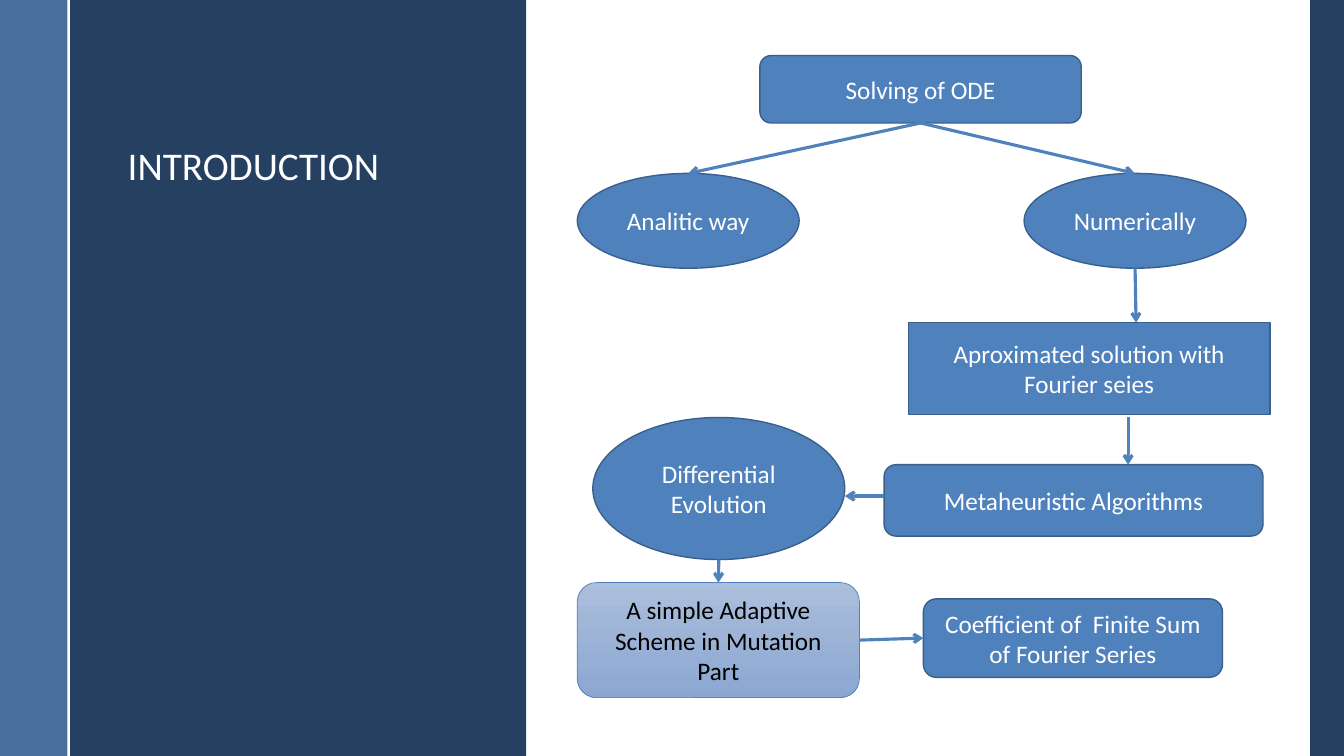
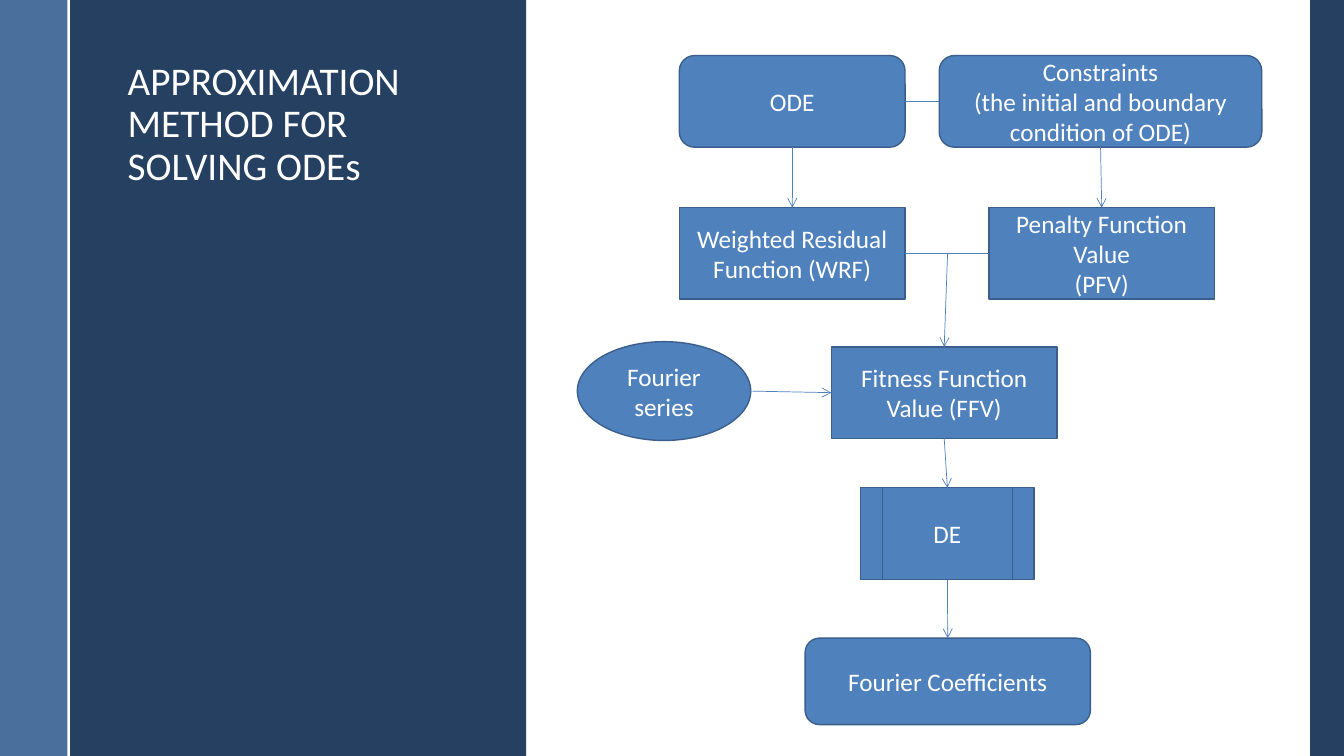
import lxml.etree
import pptx
import pptx.dml.color
import pptx.enum.shapes
import pptx.enum.text
import pptx.oxml.ns
import pptx.util

Cm = pptx.util.Cm
Pt = pptx.util.Pt
qn = pptx.oxml.ns.qn
SHAPES = pptx.enum.shapes.MSO_SHAPE
ANCHORS = pptx.enum.text.MSO_ANCHOR
ALIGNS = pptx.enum.text.PP_ALIGN

COLORS = {
    "navy": "254061",
    "stripe": "376092",
    "node": "4F81BD",
    "outline": "3A5F8C",
    "fade_top": "ABBEDB",
    "fade_bottom": "8CA7D2",
    "white": "FFFFFF",
    "black": "000000",
}
FONT = "Calibri"
WIDTH, HEIGHT = 33.87, 19.05


def rgb(name):
    return pptx.dml.color.RGBColor.from_string(COLORS[name])


def point(box, across, down):
    return (box.left + box.width * across) / Cm(1), (box.top + box.height * down) / Cm(1)


class FlowDeck:
    def __init__(self):
        self.deck = pptx.Presentation()
        self.deck.slide_width = Cm(WIDTH)
        self.deck.slide_height = Cm(HEIGHT)
        self.page = None
        self.arrow_width = 1

    def new_page(self, title, arrow_width):
        self.page = self.deck.slides.add_slide(self.deck.slide_layouts[6])
        self.arrow_width = arrow_width
        self.band(1.73, 11.53, "navy")
        stripe = self.band(0, 1.7, "stripe")
        color = stripe._element.spPr.find(qn("a:solidFill"))[0]
        lxml.etree.SubElement(color, qn("a:alpha")).set("val", "90000")
        self.line((1.73, 0), (1.73, HEIGHT), "white", 1.5)
        self.band(33.02, WIDTH - 33.02, "navy")
        self.title(title)

    def band(self, left, width, color):
        band = self.page.shapes.add_shape(SHAPES.RECTANGLE, Cm(left), 0, Cm(width), Cm(HEIGHT))
        band.shadow.inherit = False
        band.fill.solid()
        band.fill.fore_color.rgb = rgb(color)
        band.line.fill.background()
        return band

    def set_text(self, frame, text, size, color, align, anchor):
        frame.text = text
        frame.word_wrap = True
        frame.vertical_anchor = anchor
        for para in frame.paragraphs:
            para.alignment = align
            for span in para.runs:
                span.font.name = FONT
                span.font.size = Pt(size)
                span.font.color.rgb = rgb(color)

    def title(self, text):
        box = self.page.shapes.add_textbox(Cm(2.97), Cm(1.07), Cm(9.14), Cm(3.81))
        self.set_text(box.text_frame, text, 28, "white", ALIGNS.LEFT, ANCHORS.BOTTOM)
        box.text_frame.paragraphs[0].line_spacing = 0.9

    def node(self, preset, text, left, top, width, height, color="white"):
        box = self.page.shapes.add_shape(preset, Cm(left), Cm(top), Cm(width), Cm(height))
        box.shadow.inherit = False
        box.fill.solid()
        box.fill.fore_color.rgb = rgb("node")
        box.line.color.rgb = rgb("outline")
        box.line.width = Pt(1)
        self.set_text(box.text_frame, text, 18, color, ALIGNS.CENTER, ANCHORS.MIDDLE)
        return box

    def faded_node(self, *details):
        box = self.node(*details, color="black")
        box.fill.gradient()
        box.fill.gradient_angle = 270
        for stop, color in zip(box.fill.gradient_stops, ("fade_top", "fade_bottom")):
            stop.color.rgb = rgb(color)
        box.line.color.rgb = rgb("node")
        box.line.width = Pt(0.5)
        return box

    def line(self, start, end, color="node", width=None, arrow=False):
        line = self.page.shapes.add_connector(
            pptx.enum.shapes.MSO_CONNECTOR.STRAIGHT, *map(Cm, start + end))
        line.line.color.rgb = rgb(color)
        line.line.width = Pt(width or self.arrow_width)
        properties = line._element.spPr
        if arrow:
            tail = lxml.etree.SubElement(properties.find(qn("a:ln")), qn("a:tailEnd"))
            tail.set("type", "arrow")
        lxml.etree.SubElement(properties, qn("a:effectLst"))

    def arrow(self, start, end):
        self.line(start, end, arrow=True)

    def arrow_down(self, upper, lower):
        self.arrow(point(upper, 0.5, 1), point(lower, 0.5, 0))

    def arrow_right(self, left, right):
        self.arrow(point(left, 1, 0.5), point(right, 0, 0.5))


flow = FlowDeck()

flow.new_page("INTRODUCTION", 2.25)
solving = flow.node(SHAPES.ROUNDED_RECTANGLE, "Solving of ODE", 19.15, 1.4, 8.1, 1.7)
analytic = flow.node(SHAPES.OVAL, "Analitic way", 14.55, 4.37, 5.59, 2.39)
numeric = flow.node(SHAPES.OVAL, "Numerically", 25.81, 4.37, 5.59, 2.39)
flow.node(SHAPES.RECTANGLE, "Aproximated solution with Fourier seies", 22.89, 8.13, 9.12, 2.31)
coefficient = flow.node(
    SHAPES.ROUNDED_RECTANGLE, "Coefficient of  Finite Sum of Fourier Series",
    23.27, 15.09, 7.54, 1.98)
flow.node(SHAPES.ROUNDED_RECTANGLE, "Metaheuristic Algorithms", 22.28, 11.71, 9.55, 1.8)
evolution = flow.node(SHAPES.OVAL, "Differential Evolution", 14.94, 10.52, 6.35, 3.58)
adaptive = flow.faded_node(
    SHAPES.ROUNDED_RECTANGLE, "A simple Adaptive Scheme in Mutation Part",
    14.55, 14.68, 7.11, 2.9)
flow.arrow_down(solving, analytic)
flow.arrow_down(solving, numeric)
flow.arrow(point(numeric, 0.5, 1), (28.63, 8.13))
flow.arrow((28.43, 10.52), (28.43, 11.71))
flow.arrow((22.28, 12.5), (21.29, 12.5))
flow.arrow_down(evolution, adaptive)
flow.arrow_right(adaptive, coefficient)

flow.new_page("APPROXIMATION METHOD FOR SOLVING ODEs", 0.5)
equation = flow.node(SHAPES.ROUNDED_RECTANGLE, "ODE", 17.12, 1.4, 5.69, 2.31)
constraints = flow.node(
    SHAPES.ROUNDED_RECTANGLE, "Constraints\n(the initial and boundary condition of ODE)",
    23.67, 1.4, 8.13, 2.31)
residual = flow.node(
    SHAPES.RECTANGLE, "Weighted Residual Function (WRF)", 17.12, 5.23, 5.69, 2.31)
penalty = flow.node(SHAPES.RECTANGLE, "Penalty Function Value\n(PFV)", 24.92, 5.23, 5.69, 2.31)
fitness = flow.node(SHAPES.RECTANGLE, "Fitness Function Value (FFV)", 20.95, 8.74, 5.69, 2.31)
series = flow.node(SHAPES.OVAL, "Fourier series", 14.55, 8.61, 4.37, 2.49)
process = flow.node(SHAPES.FLOWCHART_PREDEFINED_PROCESS, "DE", 21.69, 12.29, 4.37, 2.31)
coefficients = flow.node(
    SHAPES.ROUNDED_RECTANGLE, "Fourier Coefficients", 20.29, 16.08, 7.19, 2.18)
for left, right in ((equation, constraints), (residual, penalty)):
    flow.line(point(left, 1, 0.5), point(right, 0, 0.5))
for upper, lower in (
        (equation, residual), (constraints, penalty),
        (fitness, process), (process, coefficients)):
    flow.arrow_down(upper, lower)
flow.arrow((23.88, 6.39), point(fitness, 0.5, 0))
flow.arrow_right(series, fitness)

flow.deck.save("out.pptx")
